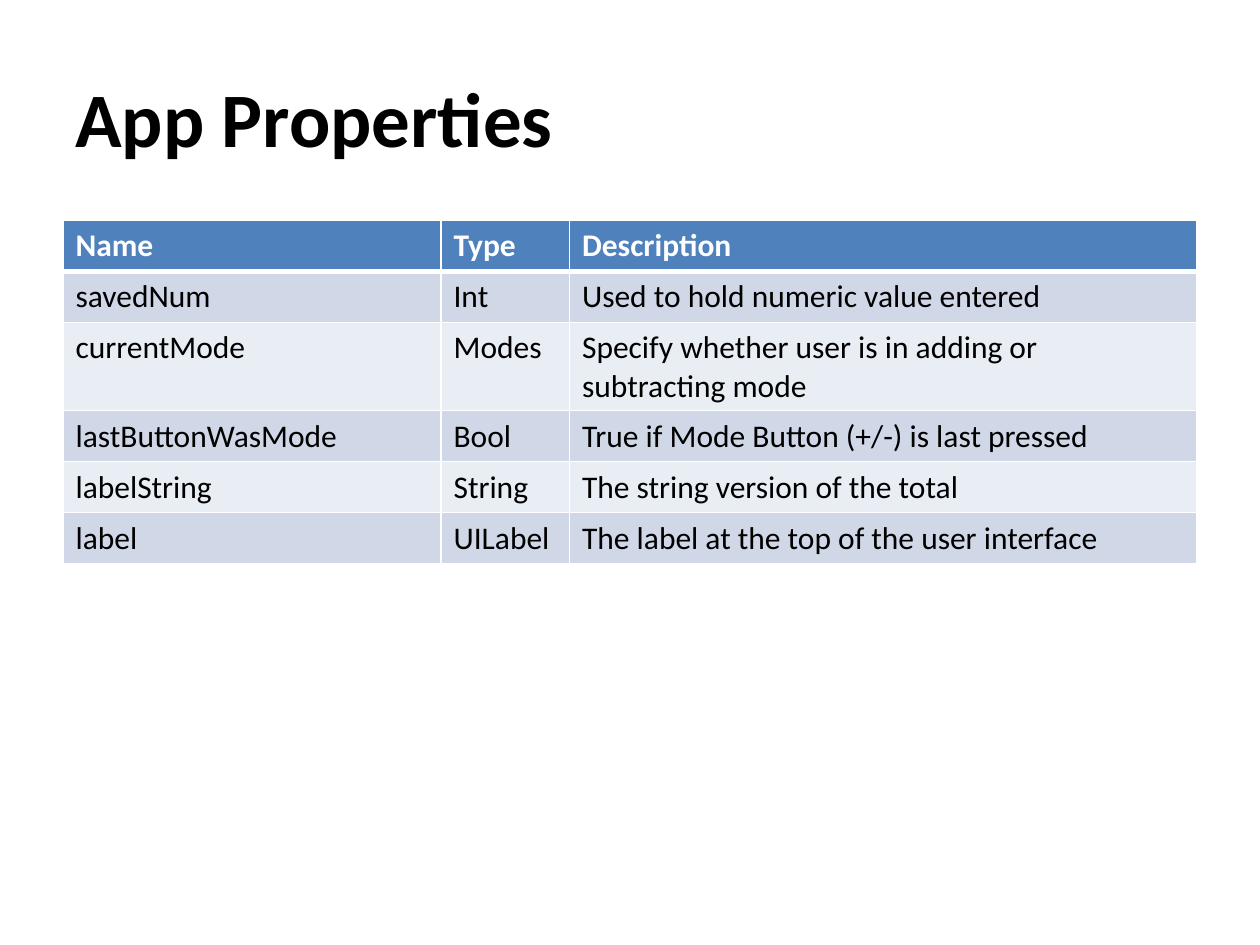
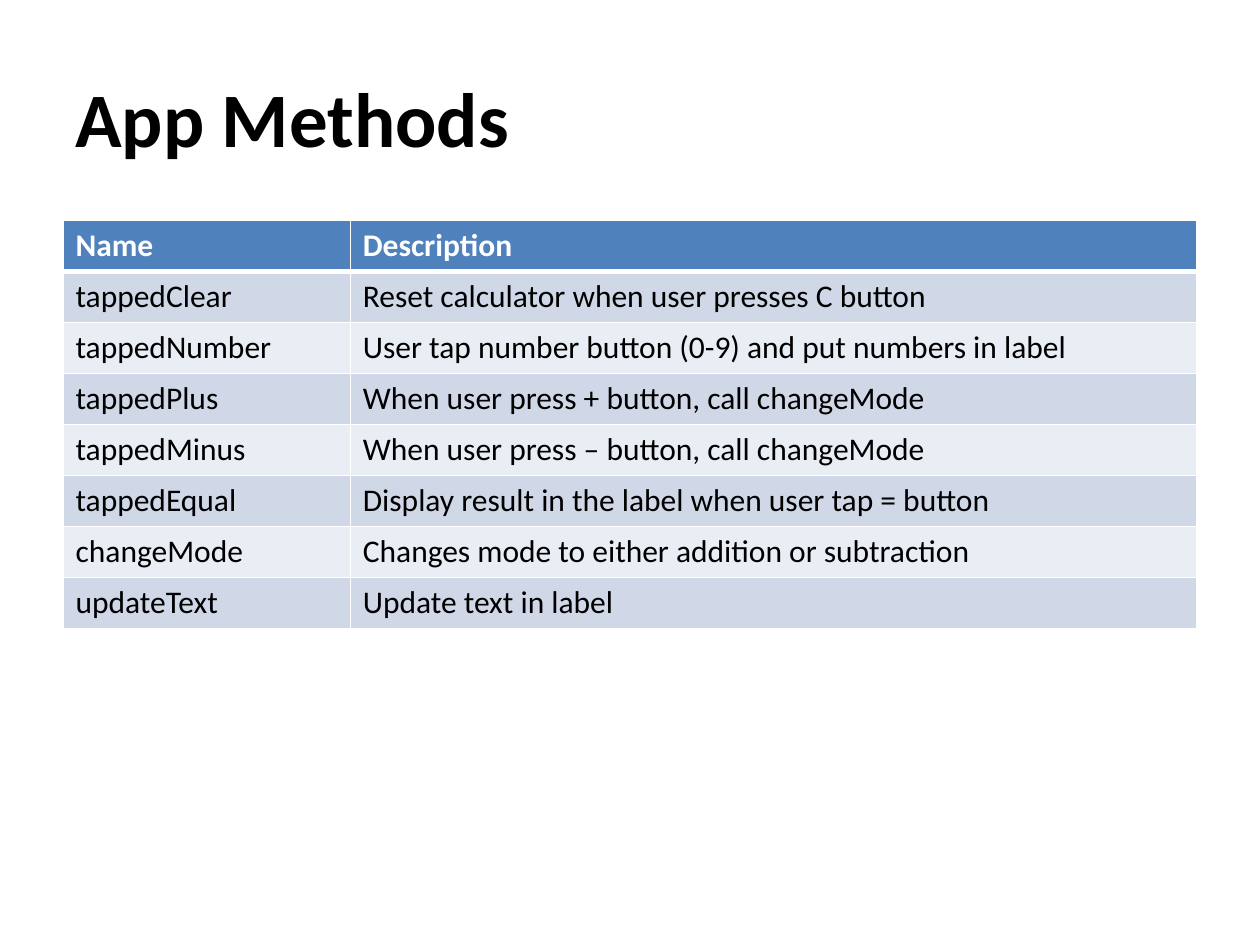
from lxml import etree
from pptx import Presentation
from pptx import util as u
from pptx.dml.color import RGBColor
from pptx.enum import text
from pptx.oxml import ns

BLACK = RGBColor(0x00, 0x00, 0x00)
WHITE = RGBColor(0xFF, 0xFF, 0xFF)
HEADER_BLUE = RGBColor(0x4F, 0x81, 0xBD)
BANDS = (RGBColor(0xD0, 0xD8, 0xE8), RGBColor(0xE9, 0xED, 0xF4))

PROPERTIES = [
    ("Name", "Type", "Description"),
    ("savedNum", "Int", "Used to hold numeric value entered"),
    ("currentMode", "Modes", "Specify whether user is in adding or subtracting mode"),
    ("lastButtonWasMode", "Bool", "True if Mode Button (+/-) is last pressed"),
    ("labelString", "String", "The string version of the total"),
    ("label", "UILabel", "The label at the top of the user interface"),
]
METHODS = [
    ("Name", "Description"),
    ("tappedClear", "Reset calculator when user presses C button"),
    ("tappedNumber", "User tap number button (0-9) and put numbers in label"),
    ("tappedPlus", "When user press + button, call changeMode"),
    ("tappedMinus", "When user press – button, call changeMode"),
    ("tappedEqual", "Display result in the label when user tap = button"),
    ("changeMode", "Changes mode to either addition or subtraction"),
    ("updateText", "Update text in label"),
]


def write(frame, words, size=18, color=BLACK, bold=False, font="Calibri"):
    run = frame.paragraphs[0].add_run()
    run.text = words
    run.font.name = font
    run.font.size = u.Pt(size)
    run.font.bold = bold
    run.font.color.rgb = color


class Deck:
    COLUMNS, ROWS = 100, 75
    MARGIN, CONTENT_WIDTH = 5, 90
    TITLE_TOP, TITLE_HEIGHT = 3, 12.5
    TABLE_TOP, ROW_HEIGHT = 17.5, 4.05
    RULE, HEADER_RULE = 1, 3

    def __init__(self):
        self.deck = Presentation()
        self.deck.slide_width = u.Inches(10)
        self.deck.slide_height = u.Inches(7.5)
        self.slide = None

    def x(self, columns):
        return round(self.deck.slide_width * columns / self.COLUMNS)

    def y(self, rows):
        return round(self.deck.slide_height * rows / self.ROWS)

    def new_slide(self, heading):
        self.slide = self.deck.slides.add_slide(self.deck.slide_layouts[6])
        self.title(heading)

    def title(self, heading):
        frame = self.slide.shapes.add_textbox(
            self.x(self.MARGIN), self.y(self.TITLE_TOP),
            self.x(self.CONTENT_WIDTH), self.y(self.TITLE_HEIGHT)).text_frame
        frame.word_wrap = True
        frame.vertical_anchor = text.MSO_ANCHOR.MIDDLE
        write(frame, heading, size=44, bold=True)

    def borders(self, cell, top, bottom):
        properties = cell._tc.get_or_add_tcPr()
        widths = {"L": self.RULE, "R": self.RULE, "T": top, "B": bottom}
        for side, width in widths.items():
            line = etree.SubElement(properties, ns.qn(f"a:ln{side}"), w=str(u.Pt(width)))
            fill = etree.SubElement(line, ns.qn("a:solidFill"))
            etree.SubElement(fill, ns.qn("a:srgbClr"), val=str(WHITE))

    def cell(self, cell, words, row):
        header = row == 0
        self.borders(cell,
                     top=self.HEADER_RULE if row == 1 else self.RULE,
                     bottom=self.HEADER_RULE if header else self.RULE)
        cell.fill.solid()
        cell.fill.fore_color.rgb = HEADER_BLUE if header else BANDS[(row - 1) % 2]
        write(cell.text_frame, words, color=WHITE if header else BLACK, bold=header)

    def table(self, entries, widths):
        table = self.slide.shapes.add_table(
            len(entries), len(widths), self.x(self.MARGIN), self.y(self.TABLE_TOP),
            self.x(self.CONTENT_WIDTH), self.y(self.ROW_HEIGHT * len(entries))).table
        table.first_row = table.horz_banding = False
        for column, width in zip(table.columns, widths):
            column.width = self.x(width)
        for row, entry in enumerate(entries):
            table.rows[row].height = self.y(self.ROW_HEIGHT)
            for column, words in enumerate(entry):
                self.cell(table.cell(row, column), words, row)


def main():
    app = Deck()
    app.new_slide("App Properties")
    app.table(PROPERTIES, widths=(30, 10.2, 49.8))
    app.new_slide("App Methods")
    app.table(METHODS, widths=(22.8, 67.2))
    app.deck.save("out.pptx")


if __name__ == "__main__":
    main()
